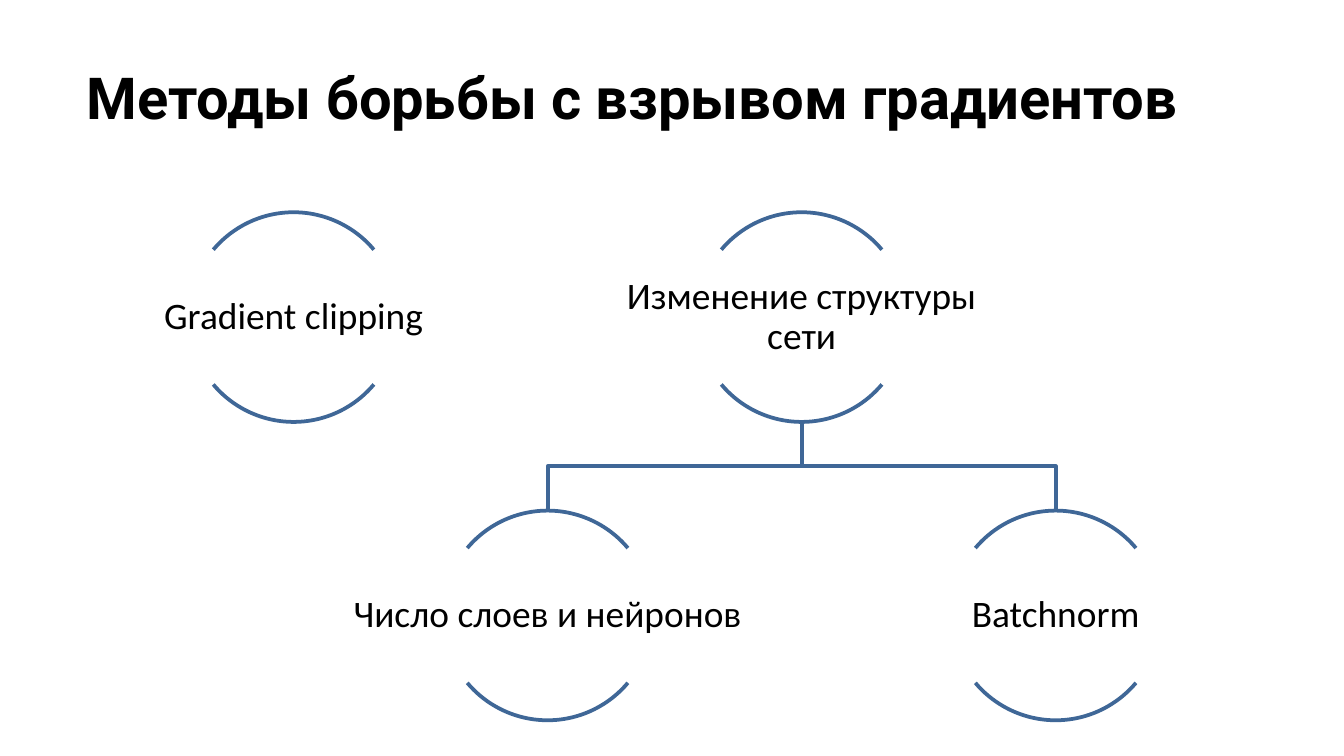
from pptx import Presentation
from pptx.dml.color import RGBColor
from pptx.enum.shapes import MSO_SHAPE
from pptx.enum.text import MSO_ANCHOR, MSO_AUTO_SIZE, PP_ALIGN
from pptx.util import Pt

PX = 4572
BLUE = "3F6797"
SIZE = 312
TOP = 316
LOW = TOP + 444
STEP = 378


def style(font, name, size, tone, bold=False):
    font.name = name
    font.size = Pt(size)
    font.bold = bold
    font.color.rgb = RGBColor.from_string(tone)


def outline(shape):
    shape.shadow.inherit = False
    shape.fill.background()
    shape.line.color.rgb = RGBColor.from_string(BLUE)
    shape.line.width = Pt(2)


deck = Presentation()
deck.slide_width = 2000 * PX
deck.slide_height = 1125 * PX
slide = deck.slides.add_slide(deck.slide_layouts[5])
shapes = slide.shapes

title = shapes.title
title.left, title.top, title.width, title.height = [v * PX for v in (109, 72, 1864, 240)]
frame = title.text_frame
frame.auto_size = MSO_AUTO_SIZE.NONE
frame.word_wrap = True
frame.vertical_anchor = MSO_ANCHOR.TOP
frame.margin_left = frame.margin_right = 20 * PX
frame.margin_top = frame.margin_bottom = 20 * PX
para = frame.paragraphs[0]
para.alignment = PP_ALIGN.LEFT
run = para.add_run()
run.text = "Методы борьбы с взрывом градиентов"
style(run.font, "Roboto", 31, "000000", True)

clip, count, root, norm = [437 + STEP * i for i in range(4)]
start = TOP + SIZE
bend = (start + LOW) // 2
for end in (norm, count):
    trace = shapes.build_freeform(root, start, scale=PX)
    trace.add_line_segments([(root, bend), (end, bend), (end, LOW)], close=False)
    outline(trace.convert_to_shape())

nodes = [
    (clip, TOP, "Gradient clipping"),
    (root, TOP, "Изменение структуры сети"),
    (count, LOW, "Число слоев и нейронов"),
    (norm, LOW, "Batchnorm"),
]
for mid, top, label in nodes:
    for first, last in ((132, 192), (24, 84)):
        arc = shapes.add_shape(
            MSO_SHAPE.ARC, (mid - SIZE // 2) * PX, top * PX, SIZE * PX, SIZE * PX
        )
        arc.adjustments[0] = first
        arc.adjustments[1] = last
        outline(arc)
    box = shapes.add_textbox((mid - SIZE) * PX, (top + 56) * PX, 2 * SIZE * PX, 200 * PX)
    frame = box.text_frame
    frame.word_wrap = True
    frame.vertical_anchor = MSO_ANCHOR.MIDDLE
    frame.margin_left = frame.margin_right = 2 * PX
    frame.margin_top = frame.margin_bottom = 2 * PX
    para = frame.paragraphs[0]
    para.alignment = PP_ALIGN.CENTER
    para.line_spacing = 0.9
    run = para.add_run()
    run.text = label
    style(run.font, "Calibri", 20, "000000")

deck.save("out.pptx")
